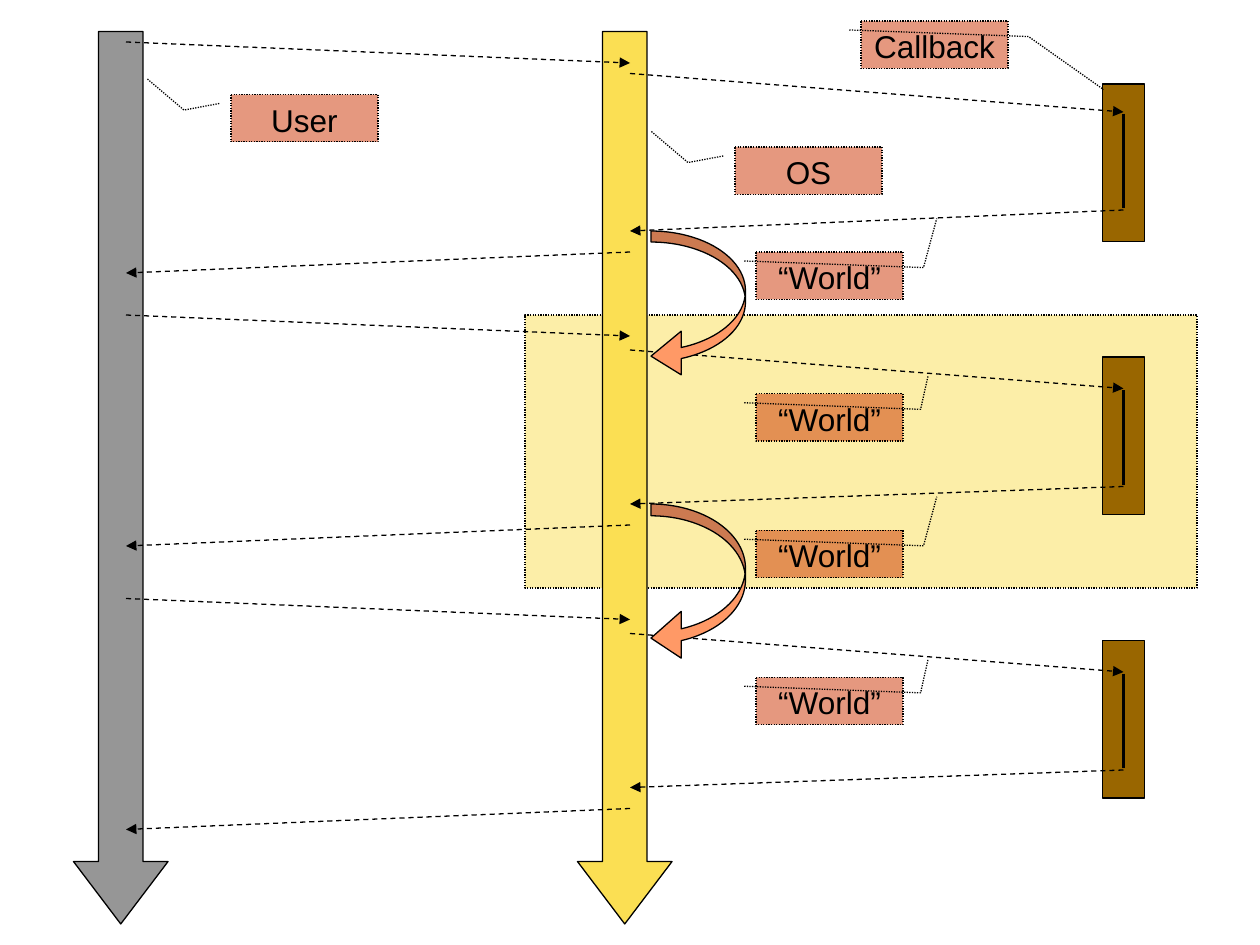
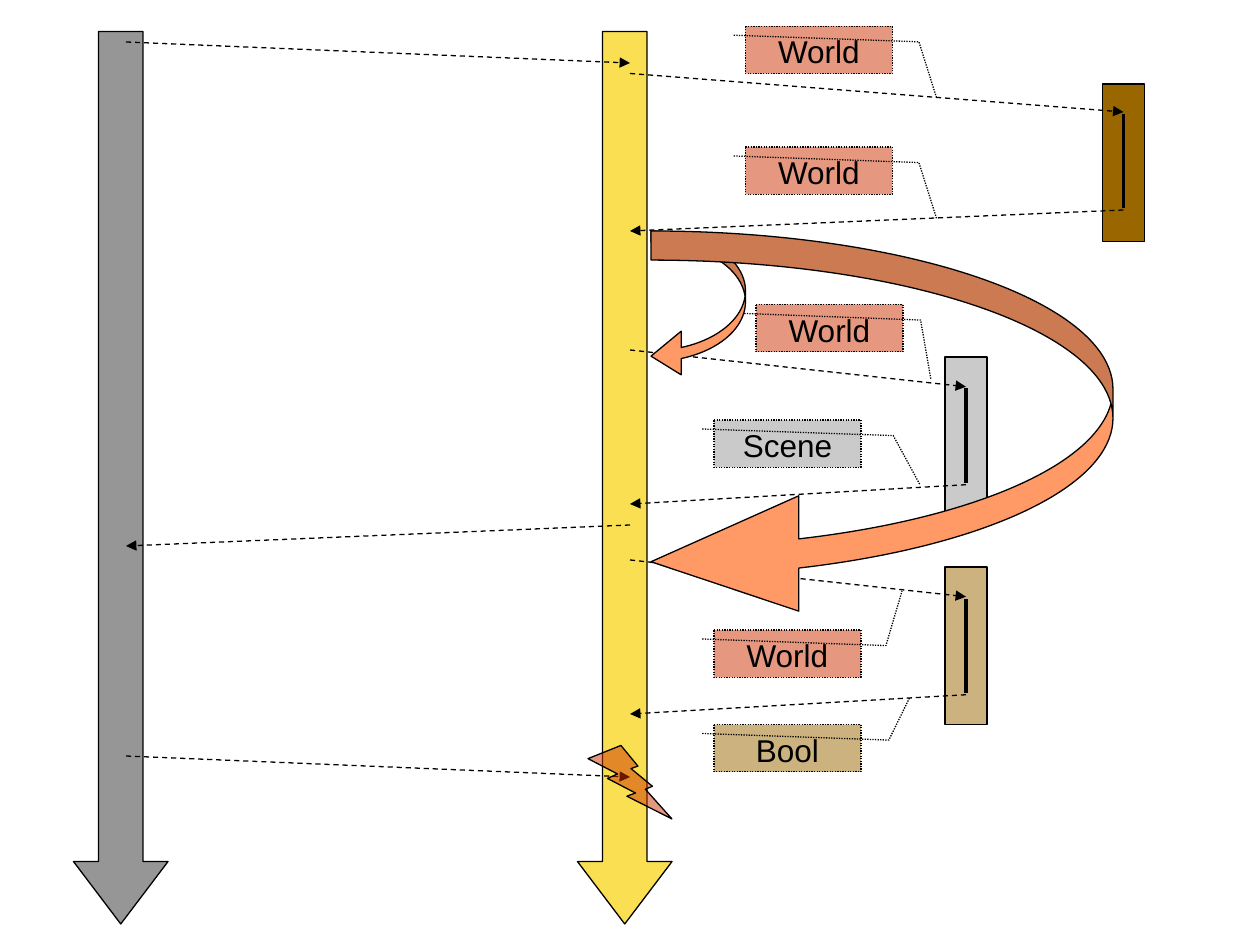
from dataclasses import dataclass

from lxml.etree import SubElement
from pptx import Presentation
from pptx.dml.color import RGBColor
from pptx.enum.dml import MSO_LINE_DASH_STYLE as Dash
from pptx.enum.shapes import MSO_CONNECTOR as Connector, MSO_SHAPE as Shape
from pptx.enum.text import MSO_ANCHOR as Anchor, PP_ALIGN as Align
from pptx.oxml.ns import qn
from pptx.util import Pt


@dataclass(frozen=True)
class Theme:
    ink: RGBColor = RGBColor(0, 0, 0)
    gray: RGBColor = RGBColor(0x96, 0x96, 0x96)
    yellow: RGBColor = RGBColor(0xFB, 0xDF, 0x53)
    brown: RGBColor = RGBColor(0x99, 0x66, 0x00)
    red: RGBColor = RGBColor(0xCC, 0x33, 0x00)
    orange: RGBColor = RGBColor(0xFF, 0x99, 0x66)
    font: str = "Arial"
    label: float = 18
    thin: float = 0.75
    thick: float = 2.25
    half: int = 50


THEME = Theme()
USER_X, OS_X = 72, 360
CALLBACK_X, INNER_X = 630, 540
MESSAGE_DROP = 12
CALLOUT_WIDTH, CALLOUT_HEIGHT = 84, 27


def write(box, text, size=THEME.label, color=THEME.ink, align=Align.CENTER):
    frame = box.text_frame
    frame.word_wrap = True
    frame.vertical_anchor = Anchor.TOP
    frame.margin_left = frame.margin_right = Pt(7.2)
    frame.margin_top = frame.margin_bottom = Pt(3.6)
    para = frame.paragraphs[0]
    para.alignment = align
    span = para.add_run()
    span.text = text
    span.font.name = THEME.font
    span.font.size = Pt(size)
    span.font.color.rgb = color


class Diagram:
    def __init__(self, deck, theme):
        self.deck = deck
        self.theme = theme
        self.page = None

    def new_page(self):
        self.page = self.deck.slides.add_slide(self.deck.slide_layouts[6])

    def block(self, kind, left, top, width, height, fill, opacity=100, adjust=()):
        box = self.page.shapes.add_shape(
            kind, Pt(left), Pt(top), Pt(width), Pt(height))
        box.shadow.inherit = False
        box.fill.solid()
        box.fill.fore_color.rgb = fill
        box.line.color.rgb = self.theme.ink
        box.line.width = Pt(self.theme.thin)
        if opacity < 100:
            color = box.element.spPr.find(qn("a:solidFill")).find(qn("a:srgbClr"))
            SubElement(color, qn("a:alpha"), val=str(opacity * 1000))
        for index, value in enumerate(adjust):
            box.adjustments[index] = value
        return box

    def lifelines(self):
        for axis, fill in ((OS_X, self.theme.yellow), (USER_X, self.theme.gray)):
            self.block(Shape.DOWN_ARROW, axis - 30, 18, 54, 510, fill,
                       adjust=(0.47, 0.66))

    def line(self, start, end, width):
        connector = self.page.shapes.add_connector(
            Connector.STRAIGHT, *(Pt(value) for value in start + end))
        connector.line.color.rgb = self.theme.ink
        connector.line.width = Pt(width)
        SubElement(connector.element.spPr, qn("a:effectLst"))
        return connector

    def message(self, start, end):
        arrow = self.line(start, end, self.theme.thin)
        arrow.line.dash_style = Dash.DASH
        outline = arrow.element.spPr.find(qn("a:ln"))
        SubElement(outline, qn("a:tailEnd"), type="triangle")

    def requests(self, *tops):
        for top in tops:
            self.message((USER_X, top), (OS_X, top + MESSAGE_DROP))

    def replies(self, *tops):
        for top in tops:
            self.message((OS_X, top), (USER_X, top + MESSAGE_DROP))

    def callback(self, left, top, fill, lead=4, delay=0, opacity=100):
        self.block(Shape.RECTANGLE, left, top, 24, 90, fill, opacity)
        axis = left + 12
        begin = top + delay
        self.line((axis, begin + 17), (axis, begin + 71), self.theme.thick)
        self.message((OS_X, top - lead), (axis, begin + 16))
        self.message((axis, begin + 72), (OS_X, top + 84))

    def callout(self, text, left, top, knee, end_y, end_x, fill=THEME.red):
        box = self.block(Shape.LINE_CALLOUT_2, left, top, CALLOUT_WIDTH,
                         CALLOUT_HEIGHT, fill, self.theme.half,
                         (0.19, -0.08, 0.33, knee, end_y, end_x))
        box.line.dash_style = Dash.ROUND_DOT
        write(box, text)

    def loop_arrow(self, top, width, height):
        side = min(width, height)
        shaft, head, length = 0.075 * height, 0.297 * height, 0.32 * width
        self.block(Shape.CURVED_LEFT_ARROW, 372, top, width, height,
                   self.theme.orange,
                   adjust=(shaft / side, head / side, length / side))


def build_world_loop(diagram):
    theme = diagram.theme
    diagram.new_page()
    highlight = diagram.block(Shape.RECTANGLE, 300, 180, 384, 156,
                              theme.yellow, theme.half)
    highlight.line.dash_style = Dash.ROUND_DOT
    diagram.lifelines()
    diagram.callback(CALLBACK_X, 48, theme.brown, lead=6)
    for top in (204, 366):
        diagram.callback(CALLBACK_X, top, theme.brown, delay=2)
    diagram.requests(24, 180, 342)
    diagram.replies(144, 300, 462)
    diagram.loop_arrow(132, 54, 84)
    diagram.loop_arrow(288, 54, 90)
    for text, left, top in (("User", 132, 54), ("OS", 420, 84)):
        diagram.callout(text, left, top, -0.32, -0.33, -0.57)
    diagram.callout("Callback", 492, 12, 1.14, 1.45, 1.65)
    for top, knee, end_y, end_x in ((144, 1.14, -0.71, 1.23),
                                    (225, 1.12, -0.37, 1.17),
                                    (303, 1.14, -0.71, 1.23),
                                    (387, 1.12, -0.37, 1.17)):
        diagram.callout("“World”", 432, top, knee, end_y, end_x)


def build_scene_loop(diagram):
    theme = diagram.theme
    diagram.new_page()
    diagram.lifelines()
    diagram.callback(CALLBACK_X, 48, theme.brown, lead=6)
    for top, fill in ((204, theme.gray), (324, theme.brown)):
        diagram.callback(INNER_X, top, fill, delay=1, opacity=theme.half)
    diagram.requests(24, 432)
    diagram.replies(300)
    diagram.loop_arrow(132, 54, 84)
    for top in (15, 84):
        diagram.callout("World", 426, top, 1.18, 1.51, 1.3)
    diagram.callout("World", 432, 174, 1.12, 1.58, 1.19)
    diagram.callout("Scene", 408, 240, 1.22, 1.36, 1.4, theme.gray)
    diagram.callout("World", 408, 360, 1.17, -0.83, 1.28)
    diagram.callout("Bool", 408, 414, 1.19, -0.56, 1.33, theme.brown)
    diagram.block(Shape.LIGHTNING_BOLT, 336, 426, 48, 42, theme.red, theme.half)
    diagram.loop_arrow(132, 264, 222)


def main():
    deck = Presentation()
    deck.slide_width, deck.slide_height = Pt(720), Pt(540)
    diagram = Diagram(deck, THEME)
    build_world_loop(diagram)
    build_scene_loop(diagram)
    deck.save("out.pptx")


if __name__ == "__main__":
    main()
